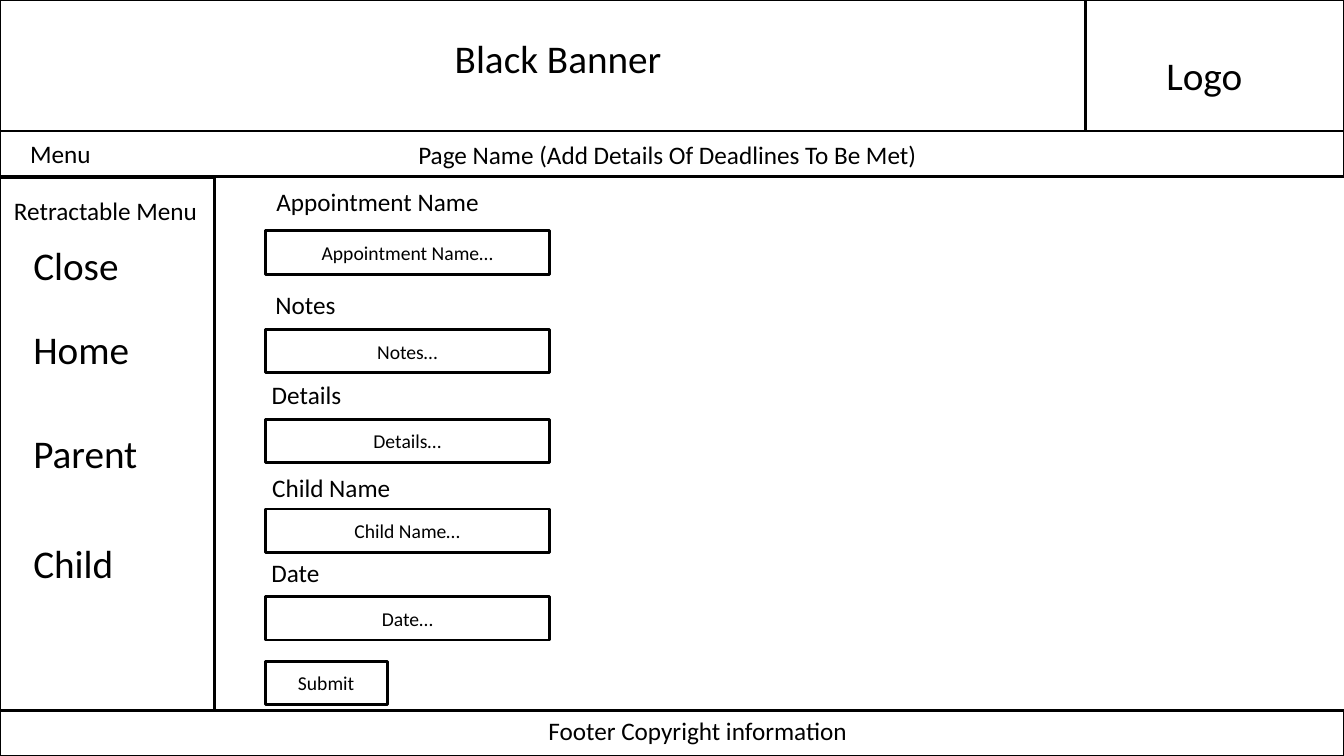
from pptx import Presentation
from pptx.dml.color import RGBColor
from pptx.enum.shapes import MSO_SHAPE as Shape
from pptx.enum.text import MSO_ANCHOR as Anchor, MSO_AUTO_SIZE as Auto, PP_ALIGN as Align
from pptx.util import Inches, Pt
from lxml import etree

FONT, INK = "Calibri", "000000"
WIDE, HIGH = 13.33, 7.5
BANNER, BAR, SIDE = 1.3, 0.45, 2.13
MENU = [("Close", 0), ("Home", 26.3), ("Parent", 40.7), ("Child", 45)]
# Field name, label left, label top, label width, entry top
FIELDS = [
    ("Appointment Name", 0.5, 0.04, 2.23, 0.53),
    ("Notes", 0.5, 1.06, 0.8, 1.51),
    ("Details", 0.46, 1.95, 0.9, 2.4),
    ("Child Name", 0.46, 2.88, 1.39, 3.29),
    ("Date", 0.46, 3.72, 0.68, 4.16),
]


def tint(color, code):
    """Set a colour from a hex string."""
    color.rgb = RGBColor.from_string(code)


def style(para, size, align=Align.LEFT):
    """Set the font and alignment of a paragraph."""
    para.font.name, para.font.size = FONT, Pt(size)
    tint(para.font.color, INK)
    para.alignment = align


def place(shape, x, y, w, h):
    """Move and size a placeholder and fix its text frame."""
    shape.left, shape.top, shape.width, shape.height = map(Inches, (x, y, w, h))
    frame = shape.text_frame
    frame.auto_size, frame.word_wrap = Auto.NONE, True
    frame.vertical_anchor = Anchor.TOP
    return frame


def frame(slide, x, y, w, h, words=""):
    """Draw an outlined box, with centred words if given."""
    box = slide.shapes.add_shape(Shape.RECTANGLE, *map(Inches, (x, y, w, h)))
    box.shadow.inherit = False
    box.fill.background()
    tint(box.line.color, INK)
    box.line.width = Pt(2)
    if words:
        box.text_frame.text = words
        box.text_frame.vertical_anchor = Anchor.MIDDLE
        style(box.text_frame.paragraphs[0], 14, Align.CENTER)


def label(slide, x, y, w, words, size=18, wrap=True):
    """Add a line of text; unwrapped text is centred on its box."""
    high = 0.57 if size == 28 else 0.4
    box = slide.shapes.add_textbox(*map(Inches, (x, y, w, high)))
    box.text_frame.word_wrap = wrap
    box.text_frame.text = words
    style(box.text_frame.paragraphs[0], size, Align.LEFT if wrap else Align.CENTER)


def banner(slide, x, y, w, h):
    """Build the banner with its title and logo cell."""
    cell = 2.56
    frame(slide, x, y, w, h)
    title = place(slide.shapes.title, x + 4.41, y + 0.29, 3.84, 0.57)
    title.text = "Black Banner"
    style(title.paragraphs[0], 28)
    frame(slide, x + w - cell, y, cell, h)
    label(slide, x + w - cell + 0.7, y + 0.46, 1.16, "Logo", 28)


def strip(slide, x, y, w, h):
    """Build the bar with the menu button and page name."""
    frame(slide, x, y, w, h)
    label(slide, x + 0.2, y + 0.02, 3.84, "Menu")
    label(slide, x + 4.05, y + 0.03, 5.62, "Page Name (Add Details Of Deadlines To Be Met)")


def sidebar(slide, x, y, w, h):
    """Build the retractable menu as a list."""
    frame(slide, x, y, w, h)
    label(slide, x + 0.04, y + 0.13, w - 0.04, "Retractable Menu")
    items = place(slide.placeholders[1], x + 0.23, y + 0.58, 1.53, 3.6)
    items.text = "\n".join(name for name, gap in MENU)
    for para, (name, gap) in zip(items.paragraphs, MENU):
        style(para, 28)
        para.space_before = Pt(gap)
        props = para._p.get_or_add_pPr()
        props.set("marL", "0")
        props.set("indent", "0")
        etree.SubElement(props, props.tag.replace("pPr", "buNone"))
        # Bullet settings come before the default run properties
        props.append(props.find(props.tag.replace("pPr", "defRPr")))


def form(slide, x, y, w, h):
    """Build the labelled entry boxes and the submit button."""
    left, high = x + 0.5, 0.43
    for name, dx, dy, wide, entry in FIELDS:
        label(slide, x + dx, y + dy, wide, name, wrap=False)
        frame(slide, left, y + entry, 2.82, high, name + "…")
    frame(slide, left, y + h - 0.49, 1.21, high, "Submit")


def footer(slide, x, y, w, h):
    """Build the footer bar."""
    frame(slide, x, y, w, h)
    label(slide, x + 5.34, y, 3.84, "Footer Copyright information")


def main():
    """Build and save the wireframe slide."""
    deck = Presentation()
    deck.slide_width, deck.slide_height = Inches(WIDE), Inches(HIGH)
    slide = deck.slides.add_slide(deck.slide_layouts[1])
    top, base = BANNER + BAR + 0.01, HIGH - BAR
    banner(slide, 0, 0, WIDE, BANNER)
    strip(slide, 0, BANNER, WIDE, BAR)
    sidebar(slide, 0, top, SIDE, base - top)
    form(slide, SIDE, top, WIDE - SIDE, base - top)
    footer(slide, 0, base, WIDE, BAR)
    deck.save("out.pptx")


main()
